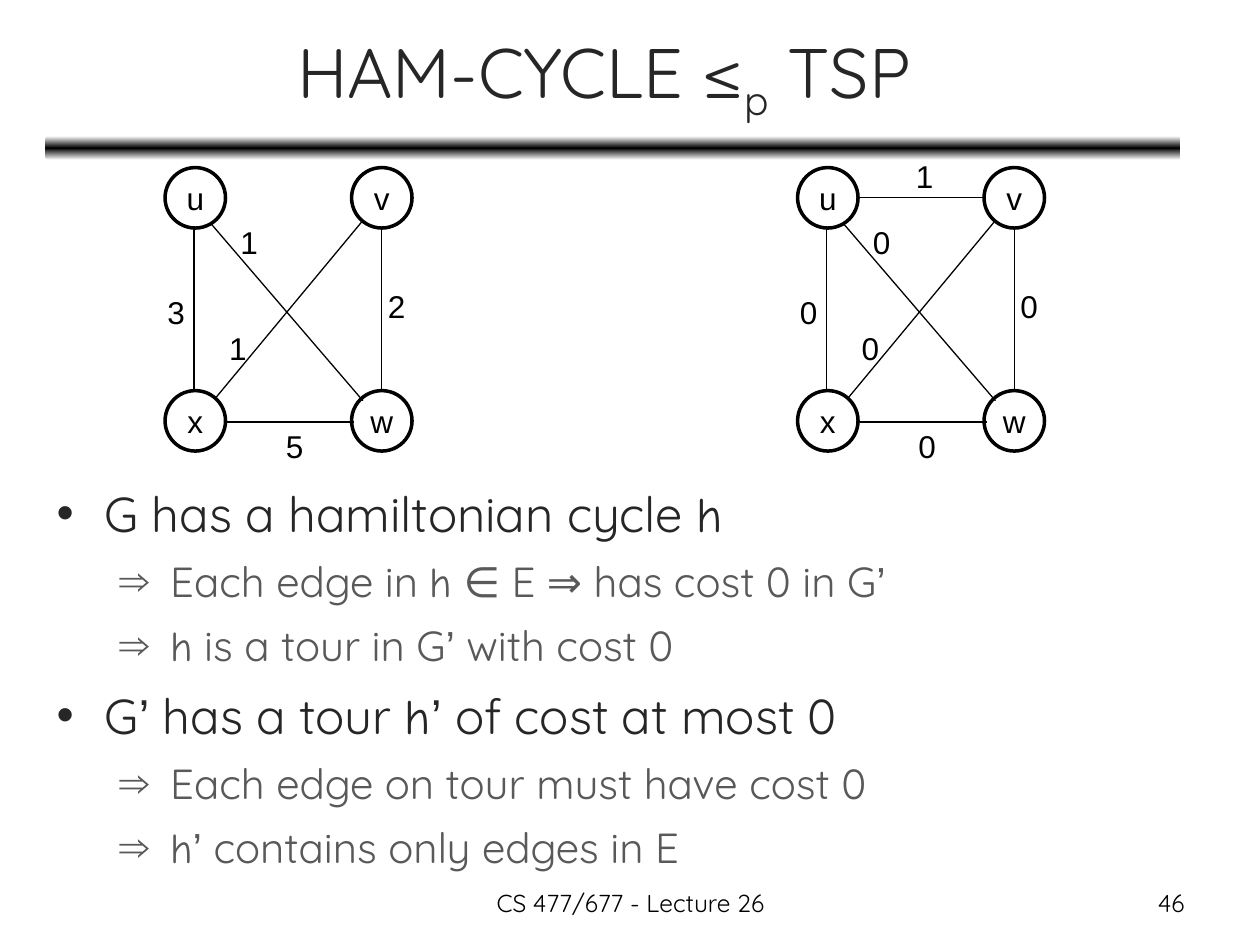
from copy import deepcopy

from lxml.etree import SubElement
from pptx import Presentation
from pptx.dml.color import RGBColor
from pptx.enum.shapes import MSO_CONNECTOR, MSO_SHAPE
from pptx.enum.text import MSO_ANCHOR, MSO_AUTO_SIZE, PP_ALIGN
from pptx.oxml.ns import qn
from pptx.util import Inches, Pt

HEADING, SCRIPT, PLAIN = "Quicksand", "Comic Neue", "Arial"
BLACK, WHITE, DARK, GREY = "000000", "FFFFFF", "262626", "595959"

NODE_SIZE = 0.48
NODES = [("u", 0, 0), ("v", 1.48, 0), ("x", 0, 1.77), ("w", 1.48, 1.77)]
# Edge ends and label corner, measured from the corner of the first node
EDGES = {
    "uv": ((0.47, 0.24), (1.49, 0.24), (0.84, -0.13)),
    "xw": ((0.48, 2.02), (1.5, 2.02), (0.86, 2.01)),
    "ux": ((0.23, 0.47), (0.23, 1.77), (-0.08, 0.95)),
    "vw": ((1.72, 0.47), (1.72, 1.77), (1.67, 0.9)),
    "vx": ((1.57, 0.42), (0.4, 1.83), (0.41, 1.23)),
    "uw": ((0.36, 0.44), (1.57, 1.85), (0.5, 0.39)),
}
ORIGINAL_COSTS = {"xw": "5", "ux": "3", "vw": "2", "vx": "1", "uw": "1"}
TOUR_COSTS = {edge: "0" if edge in ORIGINAL_COSTS else "1" for edge in EDGES}

# (level, runs)
ARGUMENT = [
    (0, [("G has a hamiltonian cycle ", HEADING), ("h", SCRIPT)]),
    (1, [(" Each edge in ", HEADING), ("h", SCRIPT),
         (" ∈ E ⇒ has cost 0 in G", HEADING), ("’", PLAIN)]),
    (1, [(" ", HEADING), ("h", SCRIPT), (" is a tour in G", HEADING),
         ("’", PLAIN), (" with cost 0", HEADING)]),
    (0, [("G", HEADING), ("’", PLAIN), (" has a tour ", HEADING),
         ("h", SCRIPT), ("’", PLAIN), (" of cost at most 0", HEADING)]),
    (1, [(" Each edge on tour must have cost 0", HEADING)]),
    (1, [(" ", HEADING), ("h", SCRIPT), ("’", PLAIN),
         (" contains only edges in E", HEADING)]),
]
# Size, colour, bullet, left margin and hanging indent of each level
LEVELS = [(28, DARK, "•", 0.38, 0.38), (24, GREY, "⇒", 0.81, 0.31)]


def rgb(value):
    return RGBColor.from_string(value)


def place(shape, left, top, width, height):
    shape.left, shape.top = Inches(left), Inches(top)
    shape.width, shape.height = Inches(width), Inches(height)


def add_run(paragraph, text, size, font=PLAIN, color=BLACK):
    run = paragraph.add_run()
    run.text = text
    run.font.name = font
    run.font.size = Pt(size)
    run.font.color.rgb = rgb(color)
    return run


def add_label(shapes, text, box, size=18, font=PLAIN, align=PP_ALIGN.LEFT, wrap=False):
    label = shapes.add_textbox(*map(Inches, box))
    label.text_frame.word_wrap = wrap
    paragraph = label.text_frame.paragraphs[0]
    paragraph.alignment = align
    add_run(paragraph, text, size, font)


def add_node(shapes, name, left, top):
    node = shapes.add_shape(MSO_SHAPE.OVAL, Inches(left), Inches(top),
                            Inches(NODE_SIZE), Inches(NODE_SIZE))
    node.shadow.inherit = False
    node.fill.solid()
    node.fill.fore_color.rgb = rgb(WHITE)
    node.line.color.rgb = rgb(BLACK)
    node.line.width = Pt(2)
    frame = node.text_frame
    frame.word_wrap = False
    frame.vertical_anchor = MSO_ANCHOR.MIDDLE
    frame.paragraphs[0].alignment = PP_ALIGN.CENTER
    add_run(frame.paragraphs[0], name, 18)


def add_edge(shapes, start, end):
    edge = shapes.add_connector(MSO_CONNECTOR.STRAIGHT, *map(Inches, start + end))
    edge.line.color.rgb = rgb(BLACK)
    edge.line.width = Pt(0.75)
    SubElement(edge._element.spPr, qn("a:effectLst"))


def add_graph(shapes, left, top, costs):
    def shift(point):
        return left + point[0], top + point[1]

    for name, x, y in NODES:
        add_node(shapes, name, *shift((x, y)))
    for edge in costs:
        start, end, _ = EDGES[edge]
        add_edge(shapes, shift(start), shift(end))
    for edge, cost in costs.items():
        add_label(shapes, cost, shift(EDGES[edge][2]) + (0.34, 0.4))


def add_title_bar(shapes):
    """Rule under the title, fading from black to white above and below."""
    bar = shapes.add_shape(MSO_SHAPE.ROUNDED_RECTANGLE, Inches(0.36), Inches(1.08),
                           Inches(9.01), Inches(0.19))
    bar.shadow.inherit = False
    bar.line.fill.background()
    bar.fill.gradient()
    bar.fill.gradient_angle = 90
    edge, middle = bar.fill.gradient_stops
    edge.position, middle.position = 0, 0.5
    edge.color.rgb, middle.color.rgb = rgb(WHITE), rgb(BLACK)
    stops = bar._element.spPr.find(".//" + qn("a:gsLst"))
    last = deepcopy(stops[0])
    last.set("pos", "100000")
    stops.append(last)


def fill_title(title):
    place(title, 0.37, 0.11, 9, 0.99)
    frame = title.text_frame
    frame.auto_size = MSO_AUTO_SIZE.NONE
    frame.vertical_anchor = MSO_ANCHOR.MIDDLE
    paragraph = frame.paragraphs[0]
    paragraph.alignment = PP_ALIGN.CENTER
    add_run(paragraph, "HAM-CYCLE ≤", 40, HEADING, DARK)
    subscript = add_run(paragraph, "p", 40, HEADING, DARK)
    subscript._r.get_or_add_rPr().set("baseline", "-25000")
    add_run(paragraph, " TSP ", 40, HEADING, DARK)


def fill_body(body):
    place(body, 0.35, 3.74, 9.41, 3.51)
    frame = body.text_frame
    frame.auto_size = MSO_AUTO_SIZE.NONE
    for index, (level, runs) in enumerate(ARGUMENT):
        size, color, bullet, margin, hanging = LEVELS[level]
        paragraph = frame.add_paragraph() if index else frame.paragraphs[0]
        paragraph.level = level
        paragraph.line_spacing = 1.1
        paragraph.space_before = Pt(0.2 * size if index else 0)
        properties = paragraph._p.get_or_add_pPr()
        properties.set("marL", str(Inches(margin)))
        properties.set("indent", str(-Inches(hanging)))
        SubElement(properties, qn("a:buChar"), char=bullet)
        for text, font in runs:
            add_run(paragraph, text, size, font, color)


def main():
    presentation = Presentation()
    presentation.slide_width, presentation.slide_height = Inches(10), Inches(7.5)
    slide = presentation.slides.add_slide(presentation.slide_layouts[1])
    shapes = slide.shapes
    add_title_bar(shapes)
    fill_title(shapes.title)
    fill_body(slide.placeholders[1])
    add_graph(shapes, 1.31, 1.33, ORIGINAL_COSTS)
    add_graph(shapes.add_group_shape().shapes, 6.33, 1.33, TOUR_COSTS)
    add_label(shapes, "46", (7.17, 7, 2.33, 0.35), 14, HEADING, PP_ALIGN.RIGHT, True)
    add_label(shapes, "CS 477/677 - Lecture 26", (3.42, 7, 3.17, 0.35), 14, HEADING,
              PP_ALIGN.CENTER, True)
    presentation.save("out.pptx")


if __name__ == "__main__":
    main()
